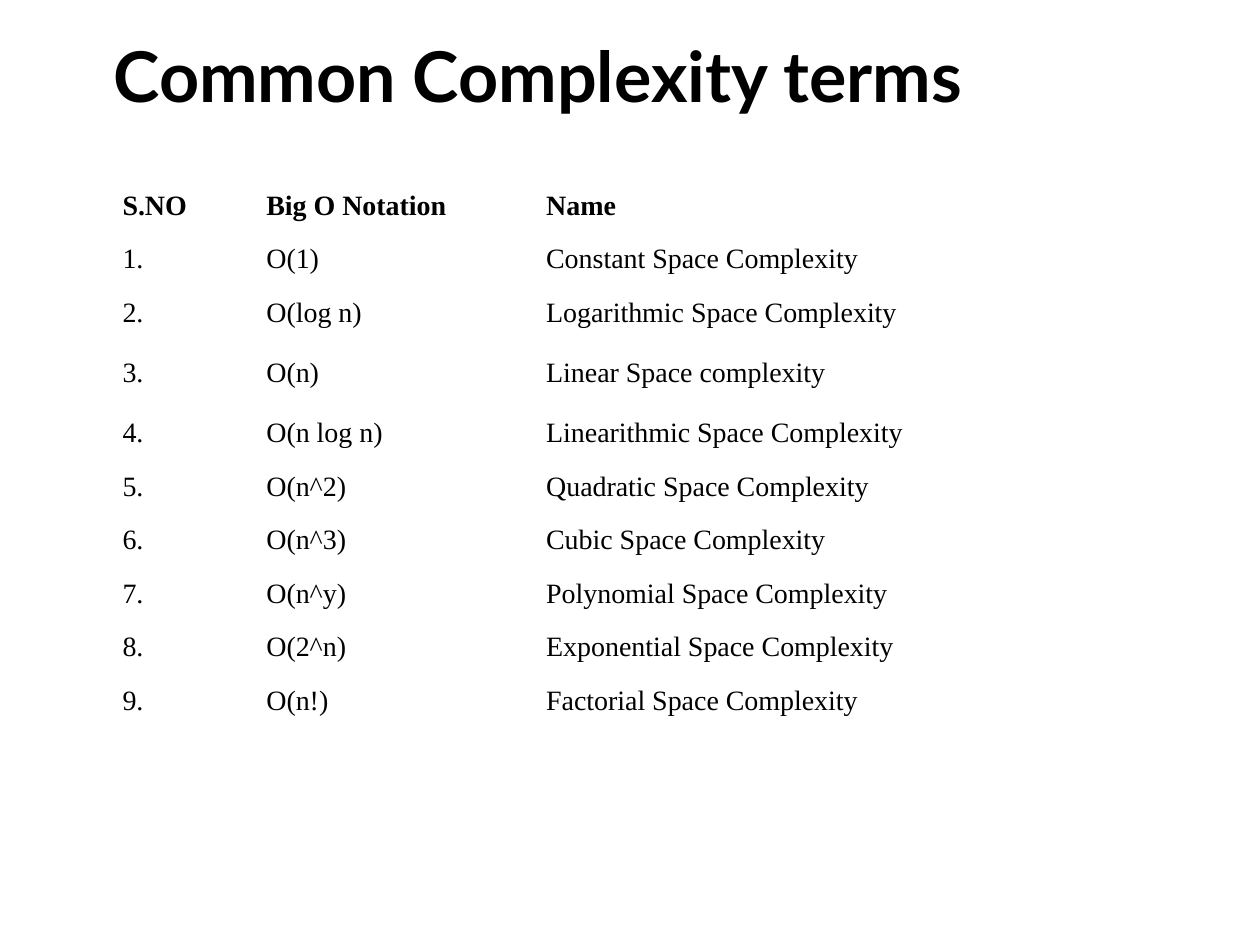
import pptx
import pptx.util
import pptx.dml.color
import pptx.enum.text

Cm = pptx.util.Cm
Pt = pptx.util.Pt

HUES = {"ink": "000000"}
LEFT = Cm(2.29)
HEADS = ["S.NO", "Big O Notation", "Name"]
TERMS = [
    ("O(1)", "Constant Space Complexity"),
    ("O(log n)", "Logarithmic Space Complexity"),
    ("O(n)", "Linear Space complexity"),
    ("O(n log n)", "Linearithmic Space Complexity"),
    ("O(n^2)", "Quadratic Space Complexity"),
    ("O(n^3)", "Cubic Space Complexity"),
    ("O(n^y)", "Polynomial Space Complexity"),
    ("O(2^n)", "Exponential Space Complexity"),
    ("O(n!)", "Factorial Space Complexity"),
]
WIDTHS = [2.9, 5.64, 10.98]
ROW, TALL = 1.08, 1.34
TALL_ROW = 3


def style(frame, face, size, bold):
    for para in frame.paragraphs:
        para.alignment = pptx.enum.text.PP_ALIGN.LEFT
        for run in para.runs:
            font = run.font
            font.name, font.size, font.bold = face, Pt(size), bold
            font.color.rgb = pptx.dml.color.RGBColor.from_string(HUES["ink"])


def add_title(slide, text):
    title = slide.shapes.title
    title.left, title.top = LEFT, Cm(0.66)
    title.width, title.height = Cm(21.64), Cm(3.43)
    frame = title.text_frame
    frame.text = text
    frame.margin_left = frame.margin_right = 0
    frame.margin_top = frame.margin_bottom = 0
    frame.vertical_anchor = pptx.enum.text.MSO_ANCHOR.TOP
    style(frame, "Lato", 40, True)


def fill_cell(cell, text, bold):
    cell.fill.background()
    cell.margin_left = cell.margin_right = Cm(0.18)
    cell.margin_top = cell.margin_bottom = Cm(0.1)
    cell.vertical_anchor = pptx.enum.text.MSO_ANCHOR.MIDDLE
    cell.text_frame.text = text
    style(cell.text_frame, "Times New Roman", 16, bold)


def add_terms(slide):
    # Number the terms below the heading row
    rows = [HEADS] + [(f"{n}.", *term) for n, term in enumerate(TERMS, 1)]
    highs = [TALL if n == TALL_ROW else ROW for n in range(len(rows))]
    table = slide.shapes.add_table(
        len(rows), len(HEADS), LEFT, Cm(3.61), Cm(sum(WIDTHS)), Cm(sum(highs))
    ).table
    table.first_row = table.horz_banding = False
    for col, width in zip(table.columns, WIDTHS):
        col.width = Cm(width)
    for n, (row, high) in enumerate(zip(table.rows, highs)):
        row.height = Cm(high)
        for cell, text in zip(row.cells, rows[n]):
            fill_cell(cell, text, n == 0)


def main():
    deck = pptx.Presentation()
    deck.slide_width, deck.slide_height = Cm(25.4), Cm(19.05)
    # Title-only layout
    slide = deck.slides.add_slide(deck.slide_layouts[5])
    add_title(slide, "Common Complexity terms")
    add_terms(slide)
    deck.save("out.pptx")


if __name__ == "__main__":
    main()
